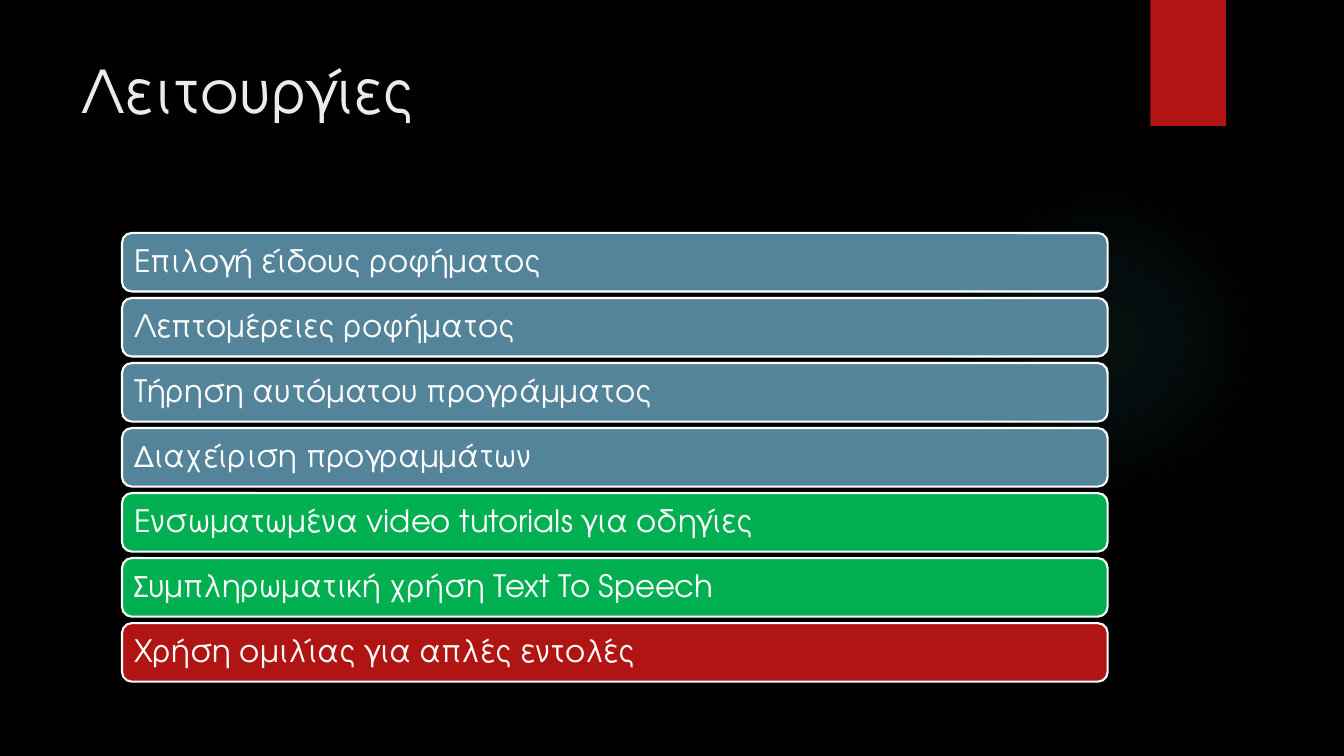
from dataclasses import dataclass

from lxml import etree
from pptx import Presentation
from pptx.dml.color import RGBColor
from pptx.enum.shapes import MSO_SHAPE
from pptx.enum.text import MSO_ANCHOR, PP_ALIGN
from pptx.oxml.ns import qn
from pptx.shapes.autoshape import Shape
from pptx.slide import Slide
from pptx.text.text import TextFrame
from pptx.util import Pt

RECT = MSO_SHAPE.RECTANGLE
ROUND = MSO_SHAPE.ROUNDED_RECTANGLE
OVAL = MSO_SHAPE.OVAL
TOP = MSO_ANCHOR.TOP
MIDDLE = MSO_ANCHOR.MIDDLE
LEFT = PP_ALIGN.LEFT

BLACK = RGBColor(0x00, 0x00, 0x00)
WHITE = RGBColor(0xFF, 0xFF, 0xFF)
PALE = RGBColor(0xEB, 0xEB, 0xEB)
BLUE = RGBColor(0x54, 0x84, 0x9A)
GREEN = RGBColor(0x00, 0xB0, 0x50)
RED = RGBColor(0xB0, 0x15, 0x13)
TEAL = RGBColor(0x50, 0xB9, 0xC1)

FONT = "TeX Gyre Adventor"
BAR_X, BAR_Y, BAR_W, BAR_H = 87.2, 166.4, 704, 41.8
PITCH = 46.45
GLOW = ((0, 7), (36, 6), (69, 0))


@dataclass(frozen=True)
class Bar:
    text: str
    fill: RGBColor


BARS = (
    Bar("Επιλογή είδους ροφήματος", BLUE),
    Bar("Λεπτομέρειες ροφήματος", BLUE),
    Bar("Τήρηση αυτόματου προγράμματος", BLUE),
    Bar("Διαχείριση προγραμμάτων", BLUE),
    Bar("Ενσωματωμένα video tutorials για οδηγίες", GREEN),
    Bar("Συμπληρωματική χρήση Text To Speech", GREEN),
    Bar("Χρήση ομιλίας για απλές εντολές", RED),
)


def write(frame: TextFrame, text: str, *, size: float, color: RGBColor,
          anchor: MSO_ANCHOR, space: float = 1.0) -> None:
    frame.word_wrap = True
    frame.vertical_anchor = anchor
    para = frame.paragraphs[0]
    para.alignment = LEFT
    para.line_spacing = space
    run = para.add_run()
    run.text = text
    run.font.name = FONT
    run.font.size = Pt(size)
    run.font.color.rgb = color


def block(slide: Slide, kind: MSO_SHAPE, x: float, y: float, w: float,
          h: float, fill: RGBColor) -> Shape:
    shape = slide.shapes.add_shape(kind, Pt(x), Pt(y), Pt(w), Pt(h))
    shape.shadow.inherit = False
    shape.fill.solid()
    shape.fill.fore_color.rgb = fill
    shape.line.fill.background()
    return shape


def add_glow(slide: Slide) -> None:
    shape = block(slide, OVAL, 677.5, 131.8, 221.8, 221.8, TEAL)
    solid = shape.element.spPr.find(qn("a:solidFill"))
    grad = etree.Element(qn("a:gradFill"), rotWithShape="1")
    stops = etree.SubElement(grad, qn("a:gsLst"))
    for place, alpha in GLOW:
        stop = etree.SubElement(stops, qn("a:gs"), pos=str(place * 1000))
        tint = etree.SubElement(stop, qn("a:srgbClr"), val=str(TEAL))
        etree.SubElement(tint, qn("a:alpha"), val=str(alpha * 1000))
    way = etree.SubElement(grad, qn("a:path"))
    way.set("path", "circle")
    etree.SubElement(way, qn("a:fillToRect"),
                     l="50000", t="50000", r="50000", b="50000")
    solid.getparent().replace(solid, grad)


def add_title(slide: Slide, text: str) -> None:
    title = slide.shapes.title
    title.left, title.top = Pt(51), Pt(35.3)
    title.width, title.height = Pt(740.9), Pt(110.2)
    write(title.text_frame, text, size=42, color=PALE, anchor=TOP)


def add_bar(slide: Slide, bar: Bar, row: int) -> None:
    shape = block(slide, ROUND, BAR_X, BAR_Y + row * PITCH, BAR_W, BAR_H,
                  bar.fill)
    shape.line.color.rgb = WHITE
    shape.line.width = Pt(1.5)
    frame = shape.text_frame
    frame.margin_left = frame.margin_right = Pt(6.6)
    frame.margin_top = frame.margin_bottom = Pt(6.6)
    write(frame, bar.text, size=22, color=WHITE, anchor=MIDDLE, space=0.9)


def main() -> None:
    deck = Presentation()
    deck.slide_width, deck.slide_height = Pt(960), Pt(540)
    slide = deck.slides.add_slide(deck.slide_layouts[5])
    back = slide.background.fill
    back.solid()
    back.fore_color.rgb = BLACK
    add_glow(slide)
    block(slide, RECT, 821.8, 0, 54, 90, RED)
    add_title(slide, "Λειτουργίες")
    for row, bar in enumerate(BARS):
        add_bar(slide, bar, row)
    deck.save("out.pptx")


if __name__ == "__main__":
    main()
